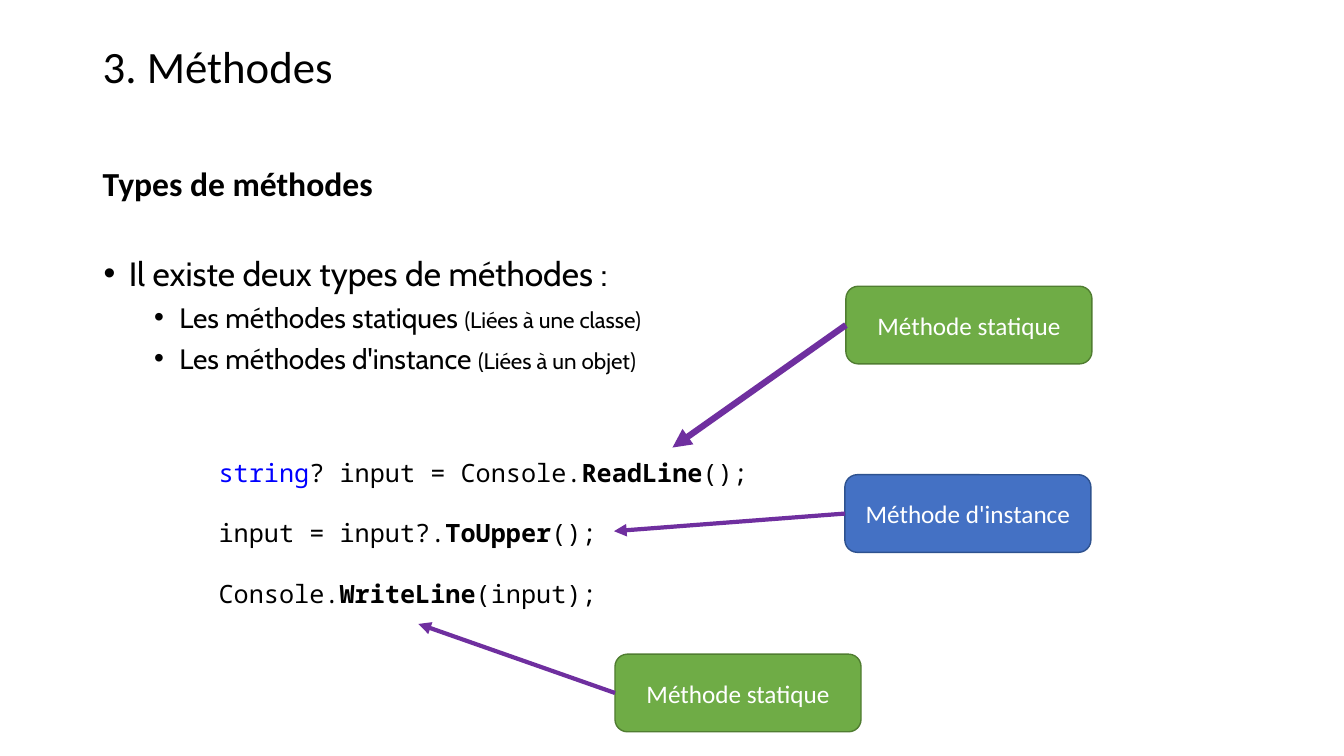
import pptx
import pptx.util
import pptx.dml.color
import pptx.enum.shapes
import pptx.enum.text
import pptx.oxml.ns
from lxml import etree

Inches, Pt = pptx.util.Inches, pptx.util.Pt
qn = pptx.oxml.ns.qn


def paint(color, code):
    color.rgb = pptx.dml.color.RGBColor.from_string(code)


def write(para, runs, base):
    """Fill a paragraph with (text, format) runs laid over a base format."""
    for text, extra in runs:
        run = para.add_run()
        run.text = text
        look = {"color": "000000", **base, **extra}
        paint(run.font.color, look.pop("color"))
        for key, value in look.items():
            setattr(run.font, key, value)


deck = pptx.Presentation()
deck.slide_width, deck.slide_height = Inches(13.33), Inches(7.5)
slide = deck.slides.add_slide(deck.slide_layouts[6])
shapes = slide.shapes

BOLD = {"bold": True}
NOTE = {"size": Pt(16)}
HEAD = {"name": "Calibri", "size": Pt(24), "bold": True}
MAIN = {"name": "Cabin", "size": Pt(24)}
ITEM = {"name": "Cabin", "size": Pt(20)}
CODE = {"name": "Noto Sans Mono", "size": Pt(18)}
LABEL = {"name": "Calibri", "size": Pt(18), "color": "FFFFFF"}
CODE_GAP = {"line_spacing": Pt(24), "space_before": Pt(19.2)}

# Text boxes: place, then paragraphs as (runs, font, bullet indent, spacing)
boxes = [
    ((0.92, 0.4, 11.5, 0.63), [
        ([("3. Méthodes", {})], {"name": "Calibri", "size": Pt(32)}, 0,
         {"line_spacing": 0.9}),
    ]),
    ((0.92, 1.57, 11.51, 2.63), [
        ([("Types de méthodes", {})], HEAD, 0, {}),
        ([("Il existe deux types de méthodes :", {})], MAIN, 0.26,
         {"space_before": Pt(35.5)}),
        ([("Les méthodes statiques ", {}), ("(Liées à une classe)", NOTE)],
         ITEM, 0.76, {"space_before": Pt(5)}),
        ([("Les méthodes d'instance ", {}), ("(Liées à un objet)", NOTE)],
         ITEM, 0.76, {"space_before": Pt(5)}),
    ]),
    ((2.07, 4.45, 6.67, 1.62), [
        ([("string", {"color": "0000FF"}), ("? input = Console.", {}),
          ("ReadLine", BOLD), ("();", {})], CODE, 0,
         {"line_spacing": Pt(24)}),
        ([("input = input?.", {}), ("ToUpper", BOLD), ("();", {})],
         CODE, 0, CODE_GAP),
        ([("Console.", {}), ("WriteLine", BOLD), ("(input);", {})],
         CODE, 0, CODE_GAP),
    ]),
]
for place, paras in boxes:
    frame = shapes.add_textbox(*map(Inches, place)).text_frame
    frame.word_wrap = True
    for num, (runs, font, indent, gaps) in enumerate(paras):
        para = frame.add_paragraph() if num else frame.paragraphs[0]
        for key, value in gaps.items():
            setattr(para, key, value)
        if indent:
            props = para._p.get_or_add_pPr()
            props.set("marL", str(Inches(indent)))
            props.set("indent", str(Inches(-0.25)))
            props.set("lvl", "1" if indent > 0.5 else "0")
            etree.SubElement(props, qn("a:buFont")).set("typeface", "Arial")
            etree.SubElement(props, qn("a:buChar")).set("char", "•")
        write(para, runs, font)

# Labels, each with an arrow from its left side: text, left, top, fill, edge,
# arrow tip, arrow width
labels = [
    ("Méthode d'instance", 8.38, 4.71, "4471C4", "2E528F", (6.09, 5.27), 3),
    ("Méthode statique", 8.39, 2.84, "6FAC46", "507D31", (6.67, 4.44), 4.5),
    ("Méthode statique", 6.1, 6.49, "6FAC46", "507D31", (4.15, 6.19), 3),
]
wide, high = 2.44, 0.77
for text, left, top, fill, edge, tip, width in labels:
    label = shapes.add_shape(
        pptx.enum.shapes.MSO_SHAPE.ROUNDED_RECTANGLE,
        Inches(left), Inches(top), Inches(wide), Inches(high))
    label.adjustments[0] = 0.16
    label.shadow.inherit = False
    label.fill.solid()
    paint(label.fill.fore_color, fill)
    paint(label.line.color, edge)
    label.line.width = Pt(1)
    frame = label.text_frame
    frame.word_wrap = True
    frame.vertical_anchor = pptx.enum.text.MSO_ANCHOR.MIDDLE
    para = frame.paragraphs[0]
    para.alignment = pptx.enum.text.PP_ALIGN.CENTER
    write(para, [(text, {})], LABEL)

    arrow = shapes.add_connector(
        pptx.enum.shapes.MSO_CONNECTOR.STRAIGHT,
        Inches(left), Inches(top + high / 2), *map(Inches, tip))
    arrow.begin_connect(label, 1)
    paint(arrow.line.color, "6F2F9F")
    arrow.line.width = Pt(width)
    line = arrow.line._get_or_add_ln()
    etree.SubElement(line, qn("a:tailEnd")).set("type", "triangle")
    etree.SubElement(arrow._element.spPr, qn("a:effectLst"))

deck.save("out.pptx")
